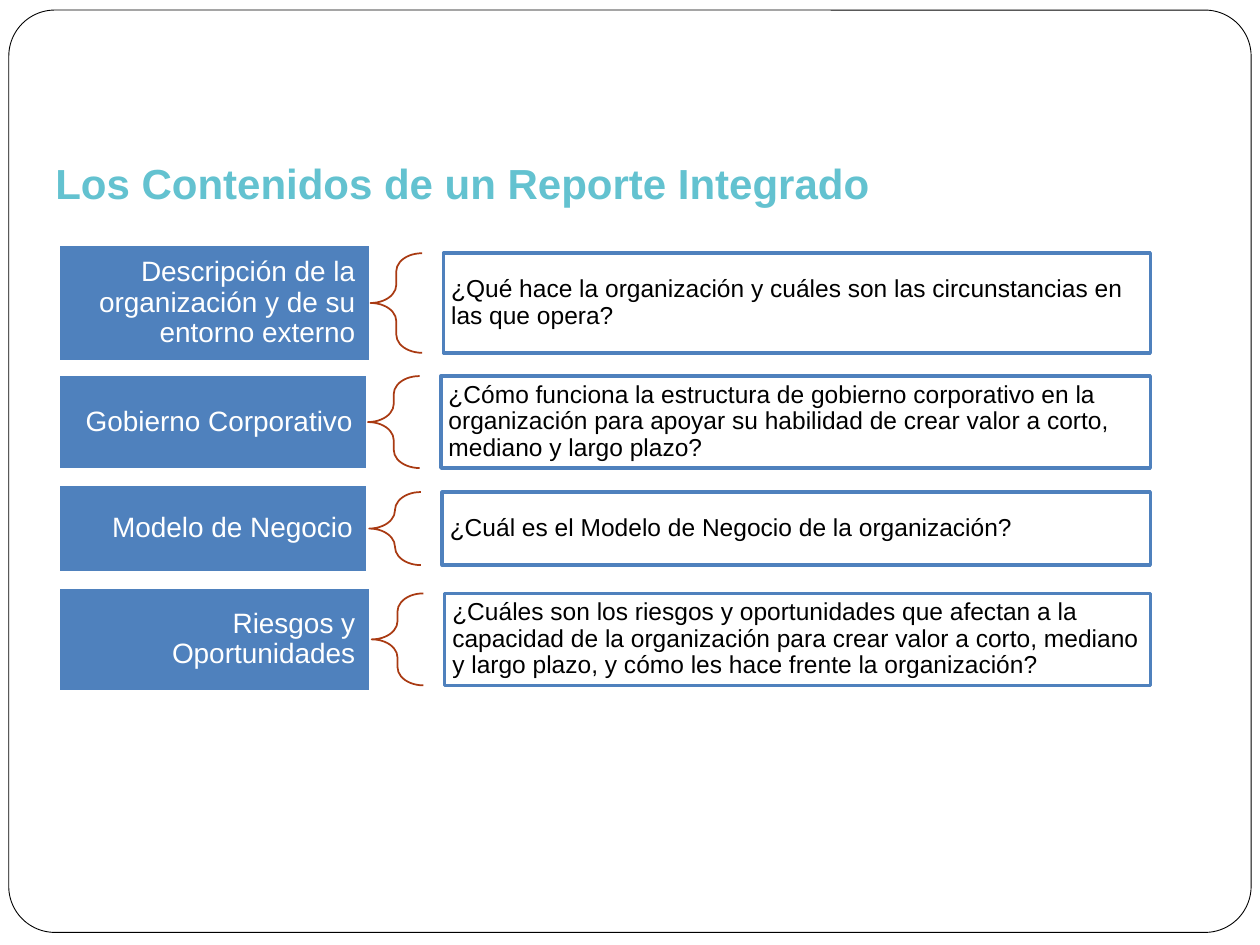
from pptx import Presentation
from pptx.dml.color import RGBColor
from pptx.enum.shapes import MSO_SHAPE
from pptx.enum.text import MSO_ANCHOR, PP_ALIGN
from pptx.util import Inches, Pt

RECT, ROUND, BRACE = MSO_SHAPE.RECTANGLE, MSO_SHAPE.ROUNDED_RECTANGLE, MSO_SHAPE.LEFT_BRACE
LEFT, RIGHT = PP_ALIGN.LEFT, PP_ALIGN.RIGHT
MIDDLE = MSO_ANCHOR.MIDDLE
BLUE, WHITE, BLACK, RUST, TEAL = "4F81BD", "FFFFFF", "000000", "A93A12", "63C2D0"

prs = Presentation()
prs.slide_width, prs.slide_height = Inches(10), Inches(7.5)
slide = prs.slides.add_slide(prs.slide_layouts[6])


def add_shape(kind, box, fill, line, width):
    shape = slide.shapes.add_shape(kind, *[Inches(v) for v in box])
    shape.shadow.inherit = False
    if fill:
        shape.fill.solid()
        shape.fill.fore_color.rgb = RGBColor.from_string(fill)
    else:
        shape.fill.background()
    shape.line.color.rgb = RGBColor.from_string(line)
    shape.line.width = Pt(width)
    return shape


def set_text(shape, text, size, color, align, pad_x, pad_y):
    frame = shape.text_frame
    frame.word_wrap = True
    frame.margin_left = frame.margin_right = Inches(pad_x)
    frame.margin_top = frame.margin_bottom = Inches(pad_y)
    frame.text = text
    para = frame.paragraphs[0]
    para.alignment = align
    font = para.runs[0].font
    font.name, font.size = "Arial", Pt(size)
    font.color.rgb = RGBColor.from_string(color)
    return frame


# Rounded frame around the slide
frame = add_shape(ROUND, (0.07, 0.08, 9.86, 7.32), WHITE, BLACK, 0.5)
frame.adjustments[0] = 0.05

# Title
title = slide.shapes.add_textbox(Inches(0.34), Inches(1.2), Inches(7.58), Inches(0.85))
body = set_text(title, "Los Contenidos de un Reporte Integrado", 24, TEAL, LEFT, 0.1, 0.05)
body.paragraphs[0].runs[0].font.bold = True

# Rows: label top, width, height; brace left; answer height; texts
rows = [
    (1.94, 2.48, 0.93, 2.94, 0.79, "Descripción de la organización y de su entorno externo",
     "¿Qué hace la organización y cuáles son las circunstancias en las que opera?"),
    (2.97, 2.46, 0.76, 2.92, 0.73, "Gobierno Corporativo",
     "¿Cómo funciona la estructura de gobierno corporativo en la organización para "
     "apoyar su habilidad de crear valor a corto, mediano y largo plazo?"),
    (3.84, 2.46, 0.71, 2.93, 0.58, "Modelo de Negocio",
     "¿Cuál es el Modelo de Negocio de la organización?"),
    (4.66, 2.48, 0.83, 2.95, 0.73, "Riesgos y Oportunidades",
     "¿Cuáles son los riesgos y oportunidades que afectan a la capacidad de la organización "
     "para crear valor a corto, mediano y largo plazo, y cómo les hace frente la organización?"),
]
edge = 9.13  # right side of the answers

for top, wide, high, x, tall, topic, query in rows:
    y = top + (high - tall) / 2
    start = x + 0.58

    label = add_shape(RECT, (0.46, top, wide, high), BLUE, WHITE, 2)
    brace = add_shape(BRACE, (x, y, 0.41, tall), None, RUST, 1)
    brace.adjustments[0] = 0.35
    answer = add_shape(RECT, (start, y, edge - start, tall), WHITE, BLUE, 2)

    for body in (set_text(label, topic, 16, WHITE, RIGHT, 0.12, 0.04),
                 set_text(answer, query, 14, BLACK, LEFT, 0.06, 0.06)):
        body.vertical_anchor = MIDDLE
        body.paragraphs[0].line_spacing = 0.9

prs.save("out.pptx")
